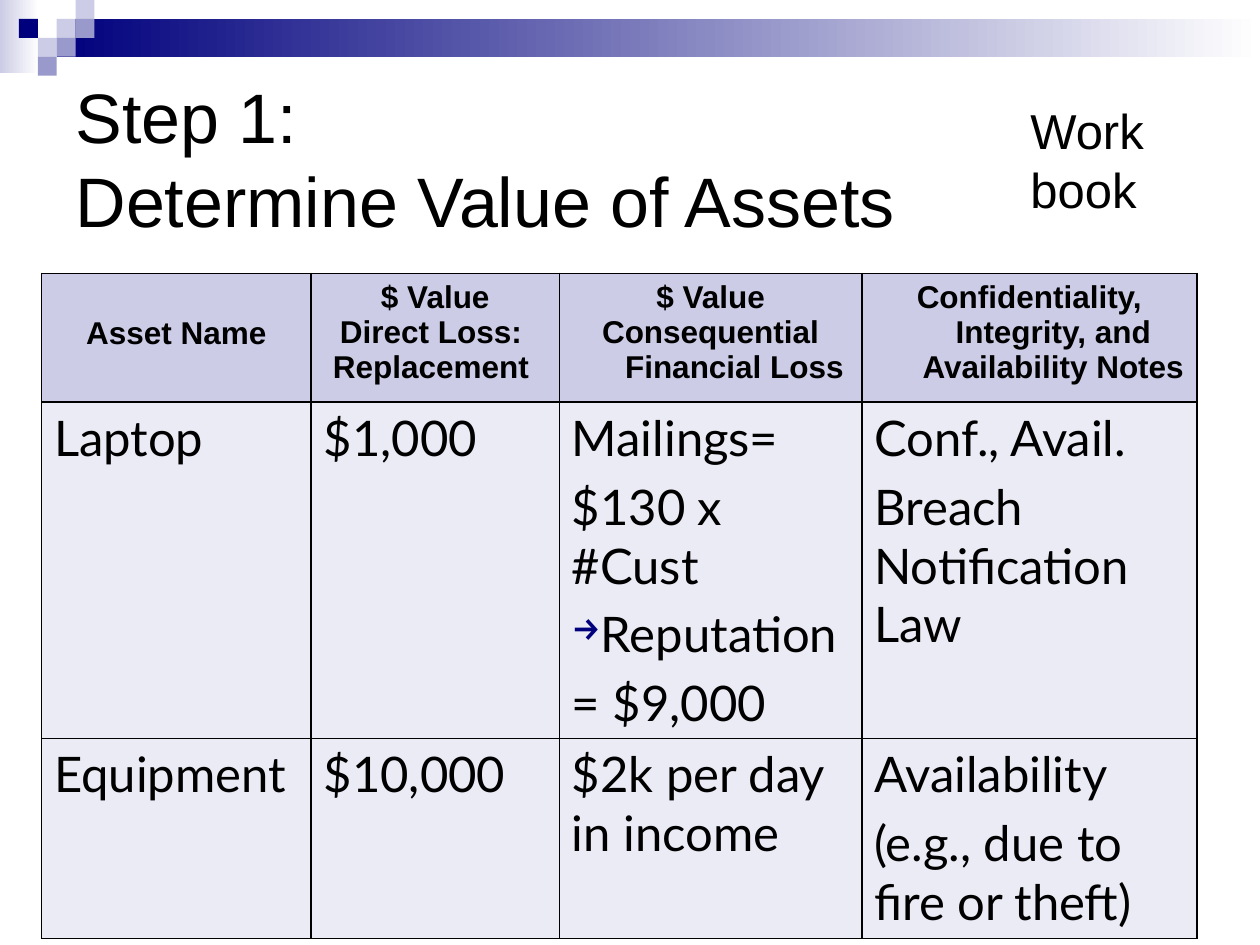
from dataclasses import dataclass

import pptx
import pptx.dml.color
import pptx.enum.shapes
import pptx.enum.text
import pptx.oxml
import pptx.oxml.ns
import pptx.util
from lxml import etree

Inches = pptx.util.Inches
Pt = pptx.util.Pt
RGBColor = pptx.dml.color.RGBColor
PP_ALIGN = pptx.enum.text.PP_ALIGN
MSO_ANCHOR = pptx.enum.text.MSO_ANCHOR
MSO_AUTO_SIZE = pptx.enum.text.MSO_AUTO_SIZE

BLACK = RGBColor(0x00, 0x00, 0x00)
WHITE = RGBColor(0xFF, 0xFF, 0xFF)
NAVY = RGBColor(0x00, 0x00, 0x7D)
PERIWINKLE = RGBColor(0x99, 0x99, 0xCC)
LAVENDER = RGBColor(0xCC, 0xCC, 0xE6)
PALE = RGBColor(0xEB, 0xEB, 0xF5)

GRID = 0.15
ARROW = "→"
HANGING = 0.38
HEADER_LINE = 0.29


@dataclass(frozen=True)
class Band:
    left: float
    top: float
    width: float
    height: float
    start: RGBColor
    end: RGBColor


@dataclass(frozen=True)
class Square:
    column: int
    row: int
    color: RGBColor


BANDS = [
    Band(0, 0, 0.31, 0.58, LAVENDER, WHITE),
    Band(0.45, 0.15, 9.55, 0.3, NAVY, WHITE),
]
SQUARES = [
    Square(3, 1, LAVENDER),
    Square(4, 0, LAVENDER),
    Square(4, 1, PERIWINKLE),
    Square(2, 2, LAVENDER),
    Square(1, 1, NAVY),
    Square(3, 2, PERIWINKLE),
    Square(2, 3, PERIWINKLE),
]

COLUMN_WIDTHS = [2.14, 1.97, 2.4, 2.66]
ROW_HEIGHTS = [1.02, 2.67, 1.59]
HEADERS = [
    ["Asset Name"],
    ["$ Value", "Direct Loss: ", "Replacement "],
    ["$ Value", "Consequential Financial Loss"],
    ["Confidentiality, Integrity, and Availability Notes"],
]
ASSETS = [
    [
        ["Laptop"],
        ["$1,000"],
        ["Mailings=", "$130 x #Cust", ARROW + "Reputation", "= $9,000"],
        ["Conf., Avail.", "Breach Notification Law"],
    ],
    [
        ["Equipment"],
        ["$10,000"],
        ["$2k per day in income"],
        ["Availability", "(e.g., due to fire or theft)"],
    ],
]


def add_arrow_bullet(paragraph) -> None:
    properties = paragraph._p.get_or_add_pPr()
    color = etree.SubElement(properties, pptx.oxml.ns.qn("a:buClr"))
    etree.SubElement(color, pptx.oxml.ns.qn("a:srgbClr"), val=str(NAVY))
    etree.SubElement(properties, pptx.oxml.ns.qn("a:buSzPct"), val="75000")
    etree.SubElement(properties, pptx.oxml.ns.qn("a:buChar"), char=ARROW)


def write_text(frame, lines: list[str], *, size: float, font: str = "Arial",
               bold: bool = False, align=PP_ALIGN.LEFT, gap: float = 0,
               spacing=None, hanging: float = 0) -> None:
    """Write one paragraph per line; a leading arrow becomes a bullet."""
    for index, line in enumerate(lines):
        paragraph = frame.add_paragraph() if index else frame.paragraphs[0]
        paragraph.alignment = align
        paragraph.space_before = Pt(gap if index else 0)
        if spacing:
            paragraph.line_spacing = Pt(spacing)
        if hanging:
            properties = paragraph._p.get_or_add_pPr()
            properties.set("marL", str(Inches(hanging)))
            properties.set("indent", str(-Inches(hanging)))
        if line.startswith(ARROW):
            add_arrow_bullet(paragraph)
        paragraph.text = line.removeprefix(ARROW)
        for run in paragraph.runs:
            run.font.name = font
            run.font.size = Pt(size)
            run.font.bold = bold
            run.font.color.rgb = BLACK


def add_rectangle(slide, left: float, top: float, width: float, height: float):
    rectangle = slide.shapes.add_shape(
        pptx.enum.shapes.MSO_SHAPE.RECTANGLE,
        Inches(left), Inches(top), Inches(width), Inches(height))
    rectangle.shadow.inherit = False
    rectangle.line.fill.background()
    return rectangle


def add_band(slide, band: Band) -> None:
    fill = add_rectangle(slide, band.left, band.top, band.width, band.height).fill
    fill.gradient()
    fill.gradient_angle = 0
    for stop, color in zip(fill.gradient_stops, (band.start, band.end)):
        stop.color.rgb = color


def add_square(slide, square: Square) -> None:
    fill = add_rectangle(slide, square.column * GRID, square.row * GRID, GRID, GRID).fill
    fill.solid()
    fill.fore_color.rgb = square.color


def format_cell(cell, color: RGBColor) -> None:
    """Give the cell black borders all round and a plain fill."""
    properties = cell._tc.get_or_add_tcPr()
    for side in ("lnL", "lnR", "lnT", "lnB"):
        border = etree.SubElement(properties, pptx.oxml.ns.qn(f"a:{side}"), w=str(Pt(1)))
        solid = etree.SubElement(border, pptx.oxml.ns.qn("a:solidFill"))
        etree.SubElement(solid, pptx.oxml.ns.qn("a:srgbClr"), val=str(BLACK))
    cell.fill.solid()
    cell.fill.fore_color.rgb = color


def add_asset_table(slide) -> None:
    table = slide.shapes.add_table(
        len(ROW_HEIGHTS), len(COLUMN_WIDTHS), Inches(0.33), Inches(2.17),
        Inches(sum(COLUMN_WIDTHS)), Inches(sum(ROW_HEIGHTS))).table
    for column, width in zip(table.columns, COLUMN_WIDTHS):
        column.width = Inches(width)
    for row, height in zip(table.rows, ROW_HEIGHTS):
        row.height = Inches(height)
    for column, lines in enumerate(HEADERS):
        cell = table.cell(0, column)
        format_cell(cell, LAVENDER)
        write_text(cell.text_frame, lines, size=18, bold=True,
                   align=PP_ALIGN.CENTER, hanging=HANGING)
    table.cell(0, 0).margin_top = Inches(0.05 + HEADER_LINE)
    for row, asset in enumerate(ASSETS, start=1):
        for column, lines in enumerate(asset):
            cell = table.cell(row, column)
            format_cell(cell, PALE)
            write_text(cell.text_frame, lines, size=28, font="Lato", gap=5.6)


def main() -> None:
    presentation = pptx.Presentation()
    presentation.slide_width = Inches(10)
    presentation.slide_height = Inches(7.5)
    slide = presentation.slides.add_slide(presentation.slide_layouts[5])

    for band in BANDS:
        add_band(slide, band)
    for square in SQUARES:
        add_square(slide, square)

    title = slide.shapes.title
    title.left, title.top = Inches(0.5), Inches(0.5)
    title.width, title.height = Inches(9), Inches(1.5)
    title.text_frame.auto_size = MSO_AUTO_SIZE.NONE
    title.text_frame.vertical_anchor = MSO_ANCHOR.MIDDLE
    write_text(title.text_frame, ["Step 1:\vDetermine Value of Assets"],
               size=40, spacing=48)

    add_asset_table(slide)

    workbook = slide.shapes.add_textbox(
        Inches(8.08), Inches(0.75), Inches(1.11), Inches(1.03)).text_frame
    workbook.word_wrap = False
    workbook.auto_size = MSO_AUTO_SIZE.SHAPE_TO_FIT_TEXT
    write_text(workbook, ["Work", "book"], size=28, spacing=33.6)

    presentation.save("out.pptx")


if __name__ == "__main__":
    main()
